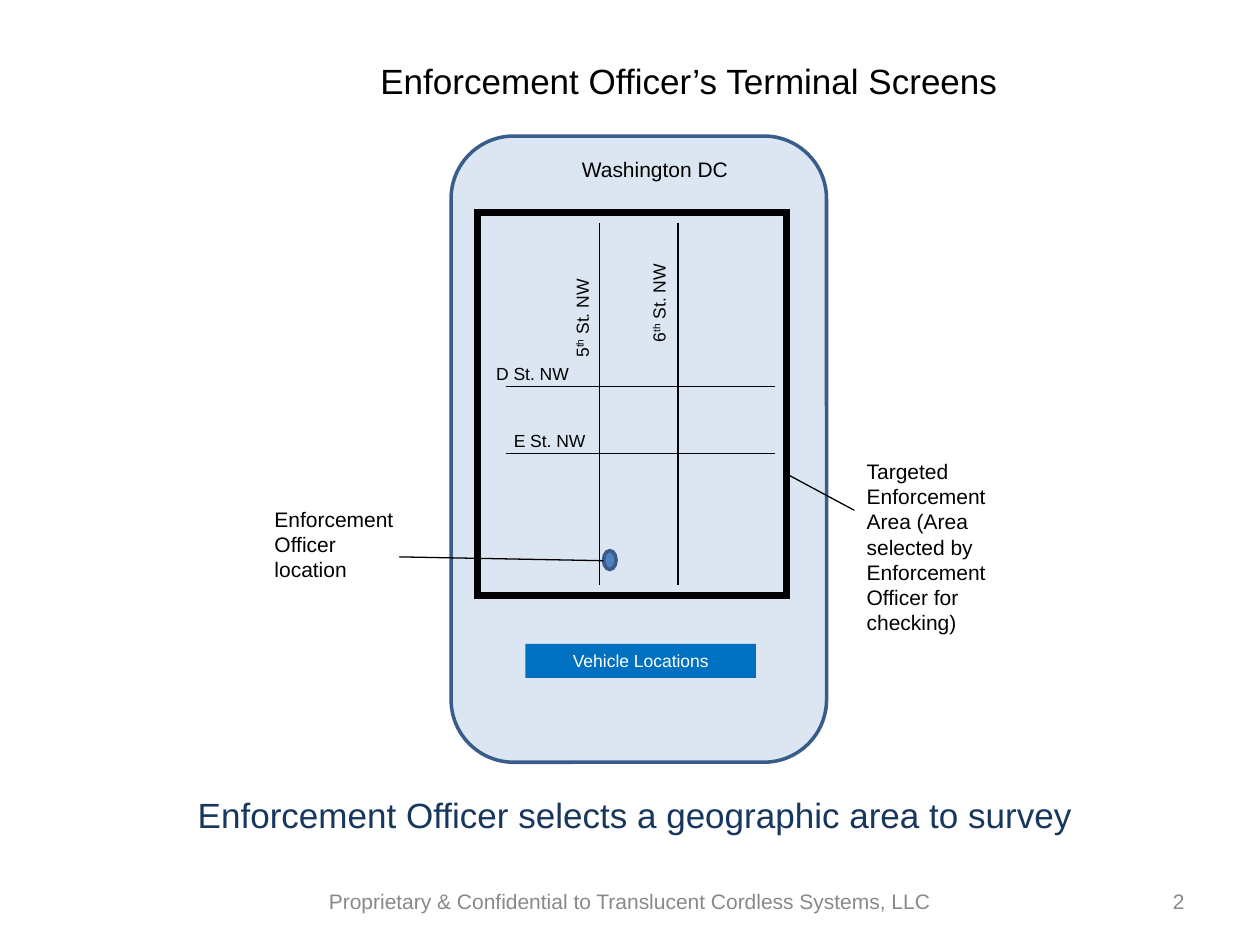
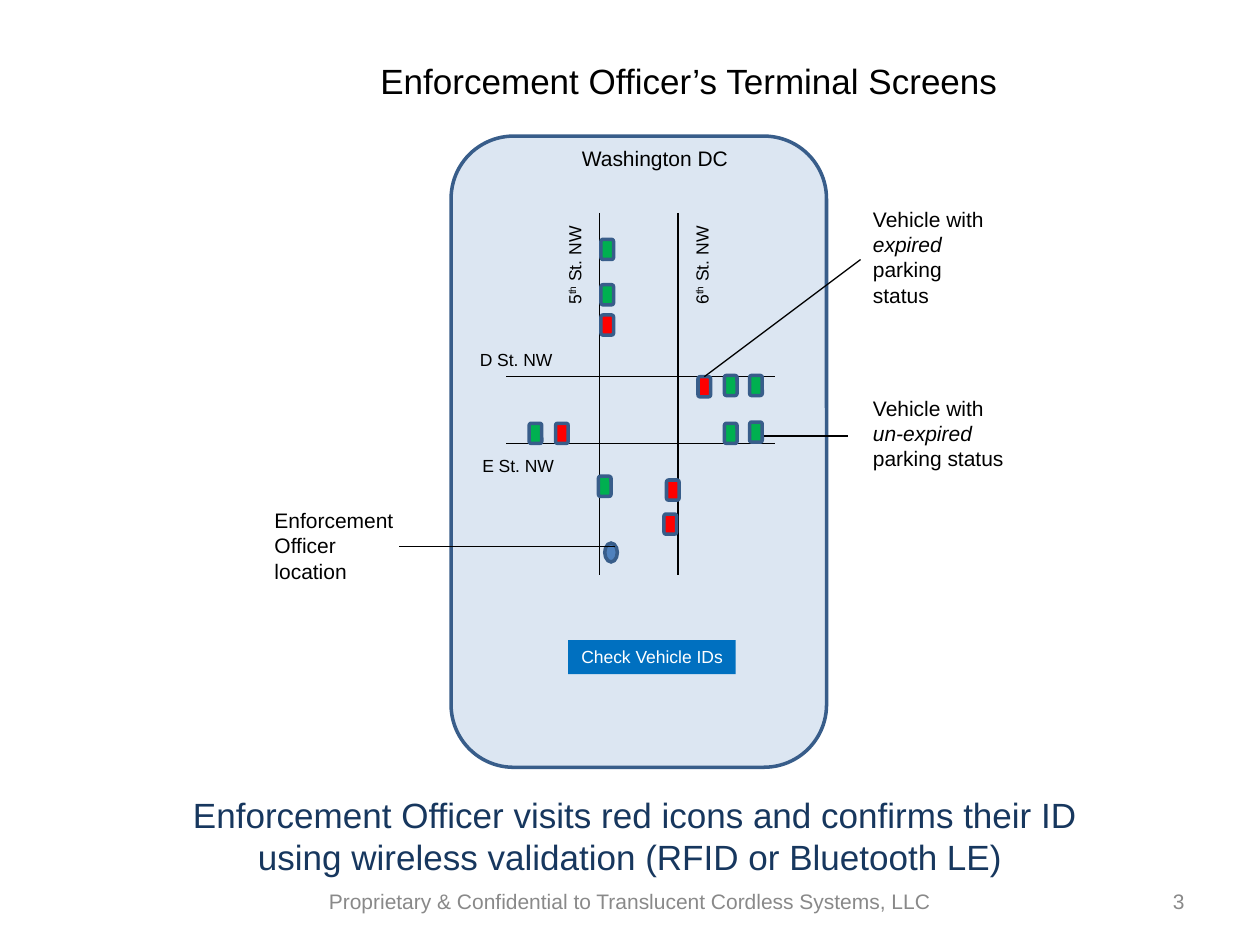
import dataclasses
import typing

import pptx
import pptx.dml.color
import pptx.enum.shapes
import pptx.enum.text
import pptx.oxml.ns
import pptx.slide
import pptx.util
from lxml import etree
from pptx.dml.color import RGBColor
from pptx.enum.shapes import MSO_SHAPE
from pptx.enum.text import MSO_ANCHOR, MSO_AUTO_SIZE, PP_ALIGN
from pptx.util import Inches

BLACK = RGBColor(0x00, 0x00, 0x00)
WHITE = RGBColor(0xFF, 0xFF, 0xFF)
GRAY = RGBColor(0x89, 0x89, 0x89)
NAVY = RGBColor(0x17, 0x37, 0x5E)
OUTLINE = RGBColor(0x38, 0x5D, 0x8A)
SCREEN = RGBColor(0xDC, 0xE6, 0xF2)
OFFICER = RGBColor(0x4F, 0x81, 0xBD)
BUTTON = RGBColor(0x00, 0x70, 0xC0)
EXPIRED = RGBColor(0xFF, 0x00, 0x00)
UNEXPIRED = RGBColor(0x00, 0xB0, 0x50)

FONT = "Arial"
TITLE = "Enforcement Officer’s Terminal Screens"
FOOTER = "Proprietary & Confidential to Translucent Cordless Systems, LLC"
CORNER = 1 / 6


class Box(typing.NamedTuple):
    left: float
    top: float
    width: float
    height: float


class Point(typing.NamedTuple):
    x: float
    y: float


class Run(typing.NamedTuple):
    text: str
    italic: bool = False
    superscript: bool = False


@dataclasses.dataclass(frozen=True)
class Label:
    box: Box
    runs: tuple[Run, ...]
    size: int = 12
    color: RGBColor = BLACK
    align: PP_ALIGN = PP_ALIGN.LEFT
    wrap: bool = True
    rotation: int = 0
    anchor: MSO_ANCHOR = MSO_ANCHOR.TOP
    grow: bool = True


class Vehicle(typing.NamedTuple):
    left: float
    top: float
    color: RGBColor


@dataclasses.dataclass(frozen=True)
class Screen:
    number: int
    phone_height: float
    city_top: float
    streets_top: float
    street_labels: tuple[Label, ...]
    officer: Point
    button: Box
    button_text: str
    caption: str
    caption_height: float
    callouts: tuple[Label, ...]
    leaders: tuple[tuple[Point, Point], ...]
    target_area: Box | None = None
    vehicles: tuple[Vehicle, ...] = ()


def plain(text: str) -> tuple[Run, ...]:
    return (Run(text),)


def street(name: str, left: float, top: float) -> Label:
    return Label(Box(left, top, 0.9, 0.27), plain(name), size=10)


def avenue(number: str, left: float, top: float) -> Label:
    """Label of a numbered street, read from bottom to top."""
    runs = (Run(number), Run("th", superscript=True), Run(" St. NW"))
    return Label(Box(left, top, 0.82, 0.27), runs, size=10, wrap=False, rotation=270)


def officer_callout(top: float) -> Label:
    return Label(Box(2.08, top, 1.25, 0.7), plain("Enforcement Officer location"))


def vehicle_callout(top: float, width: float, height: float, status: str) -> Label:
    runs = (Run("Vehicle with "), Run(status + " ", italic=True), Run("parking status"))
    return Label(Box(6.83, top, width, height), runs)


def fill_text(shape, label: Label) -> None:
    frame = shape.text_frame
    frame.word_wrap = label.wrap
    frame.auto_size = MSO_AUTO_SIZE.SHAPE_TO_FIT_TEXT if label.grow else MSO_AUTO_SIZE.NONE
    frame.vertical_anchor = label.anchor
    paragraph = frame.paragraphs[0]
    paragraph.alignment = label.align
    paragraph.font.name = FONT
    paragraph.font.size = pptx.util.Pt(label.size)
    paragraph.font.color.rgb = label.color
    for part in label.runs:
        run = paragraph.add_run()
        run.text = part.text
        if part.italic:
            run.font.italic = True
        if part.superscript:
            run._r.get_or_add_rPr().set("baseline", "30000")


def add_label(slide: pptx.slide.Slide, label: Label) -> None:
    text_box = slide.shapes.add_textbox(*map(Inches, label.box))
    text_box.rotation = label.rotation
    fill_text(text_box, label)


def add_shape(
    slide: pptx.slide.Slide,
    kind: MSO_SHAPE,
    box: Box,
    fill: RGBColor | None,
    line: RGBColor | None = OUTLINE,
    line_width: float = 2,
):
    shape = slide.shapes.add_shape(kind, *map(Inches, box))
    shape.shadow.inherit = False
    if kind == MSO_SHAPE.ROUNDED_RECTANGLE:
        shape.adjustments[0] = CORNER
    if fill is None:
        shape.fill.background()
    else:
        shape.fill.solid()
        shape.fill.fore_color.rgb = fill
    if line is None:
        shape.line.fill.background()
    else:
        shape.line.color.rgb = line
        shape.line.width = pptx.util.Pt(line_width)
        outline = shape._element.spPr.find(pptx.oxml.ns.qn("a:ln"))
        etree.SubElement(outline, pptx.oxml.ns.qn("a:miter"), lim="800000")
    return shape


def add_line(slide: pptx.slide.Slide, start: Point, end: Point) -> None:
    connector = slide.shapes.add_connector(
        pptx.enum.shapes.MSO_CONNECTOR.STRAIGHT, *map(Inches, (*start, *end))
    )
    connector.line.color.rgb = BLACK
    connector.line.width = pptx.util.Pt(0.75)
    etree.SubElement(connector._element.spPr, pptx.oxml.ns.qn("a:effectLst"))


def add_streets(slide: pptx.slide.Slide, top: float) -> None:
    for x in (4.76, 5.38):
        add_line(slide, Point(x, top), Point(x, top + 2.87))
    for y in (top + 1.3, top + 1.83):
        add_line(slide, Point(4.02, y), Point(6.15, y))


def add_frame_texts(slide: pptx.slide.Slide, screen: Screen) -> None:
    """Title, caption, footer and page number."""
    add_label(slide, Label(Box(2.92, 0.42, 5.75, 0.44), plain(TITLE), size=20))
    caption_box = Box(1.08, 6.25, 7.92, screen.caption_height)
    add_label(
        slide,
        Label(caption_box, plain(screen.caption), size=20, color=NAVY, align=PP_ALIGN.CENTER),
    )
    for box, text, align in (
        (Box(2, 6.95, 6, 0.4), FOOTER, PP_ALIGN.CENTER),
        (Box(7.17, 6.95, 2.33, 0.4), str(screen.number), PP_ALIGN.RIGHT),
    ):
        add_label(
            slide,
            Label(box, plain(text), color=GRAY, align=align, anchor=MSO_ANCHOR.MIDDLE, grow=False),
        )


def add_screen(presentation, screen: Screen) -> None:
    slide = presentation.slides.add_slide(presentation.slide_layouts[6])
    phone = Box(3.58, 1.08, 2.98, screen.phone_height)
    add_shape(slide, MSO_SHAPE.ROUNDED_RECTANGLE, phone, SCREEN)
    add_streets(slide, screen.streets_top)
    for vehicle in screen.vehicles:
        box = Box(vehicle.left, vehicle.top, 0.1, 0.16)
        add_shape(slide, MSO_SHAPE.ROUNDED_RECTANGLE, box, vehicle.color)
    add_shape(slide, MSO_SHAPE.OVAL, Box(*screen.officer, 0.1, 0.15), OFFICER)
    city = Label(Box(4.52, screen.city_top, 1.36, 0.3), plain("Washington DC"), wrap=False)
    add_label(slide, city)
    button = add_shape(slide, MSO_SHAPE.RECTANGLE, screen.button, BUTTON, line=None)
    fill_text(
        button,
        Label(
            screen.button,
            plain(screen.button_text),
            size=10,
            color=WHITE,
            align=PP_ALIGN.CENTER,
        ),
    )
    if screen.target_area:
        add_shape(slide, MSO_SHAPE.RECTANGLE, screen.target_area, None, BLACK, 4)
    for label in screen.street_labels + screen.callouts:
        add_label(slide, label)
    add_frame_texts(slide, screen)
    for start, end in screen.leaders:
        add_line(slide, start, end)


SELECT_AREA = Screen(
    number=2,
    phone_height=4.97,
    city_top=1.19,
    streets_top=1.77,
    street_labels=(
        avenue("5", 4.21, 2.39),
        avenue("6", 4.82, 2.27),
        street("D St. NW", 3.84, 2.83),
        street("E St. NW", 3.98, 3.36),
    ),
    officer=Point(4.79, 4.37),
    button=Box(4.17, 5.11, 1.83, 0.27),
    button_text="Vehicle Locations",
    caption="Enforcement Officer selects a geographic area to survey",
    caption_height=0.44,
    callouts=(
        officer_callout(3.97),
        Label(
            Box(6.78, 3.59, 1.45, 1.5),
            plain("Targeted Enforcement Area (Area selected by Enforcement Officer for checking)"),
        ),
    ),
    leaders=(
        (Point(3.17, 4.42), Point(4.79, 4.45)),
        (Point(6.24, 3.76), Point(6.78, 4.05)),
    ),
    target_area=Box(3.79, 1.69, 2.45, 3.04),
)

CHECK_VEHICLES = Screen(
    number=3,
    phone_height=5.01,
    city_top=1.11,
    streets_top=1.69,
    street_labels=(
        avenue("5", 4.15, 1.97),
        avenue("6", 5.16, 1.97),
        street("D St. NW", 3.71, 2.72),
        street("E St. NW", 3.73, 3.56),
    ),
    officer=Point(4.8, 4.31),
    button=Box(4.51, 5.08, 1.33, 0.27),
    button_text="Check Vehicle IDs",
    caption="Enforcement Officer visits red icons and confirms their ID "
    "using wireless validation (RFID or Bluetooth LE) ",
    caption_height=0.77,
    callouts=(
        officer_callout(3.98),
        vehicle_callout(1.59, 1.13, 0.9, "expired"),
        vehicle_callout(3.09, 1.3, 0.7, "un-expired"),
    ),
    leaders=(
        (Point(4.88, 4.34), Point(3.17, 4.34)),
        (Point(5.59, 2.99), Point(6.83, 2.06)),
        (Point(6.06, 3.46), Point(6.73, 3.46)),
    ),
    vehicles=(
        Vehicle(4.77, 1.9, UNEXPIRED),
        Vehicle(4.77, 2.26, UNEXPIRED),
        Vehicle(4.77, 2.5, EXPIRED),
        Vehicle(5.54, 2.99, EXPIRED),
        Vehicle(5.75, 2.98, UNEXPIRED),
        Vehicle(5.95, 2.98, UNEXPIRED),
        Vehicle(4.2, 3.36, UNEXPIRED),
        Vehicle(4.41, 3.36, EXPIRED),
        Vehicle(5.75, 3.36, UNEXPIRED),
        Vehicle(5.95, 3.35, UNEXPIRED),
        Vehicle(4.75, 3.78, UNEXPIRED),
        Vehicle(5.29, 3.81, EXPIRED),
        Vehicle(5.27, 4.08, EXPIRED),
    ),
)


def main() -> None:
    presentation = pptx.Presentation()
    presentation.slide_width = Inches(10)
    presentation.slide_height = Inches(7.5)
    for screen in (SELECT_AREA, CHECK_VEHICLES):
        add_screen(presentation, screen)
    presentation.save("out.pptx")


if __name__ == "__main__":
    main()
